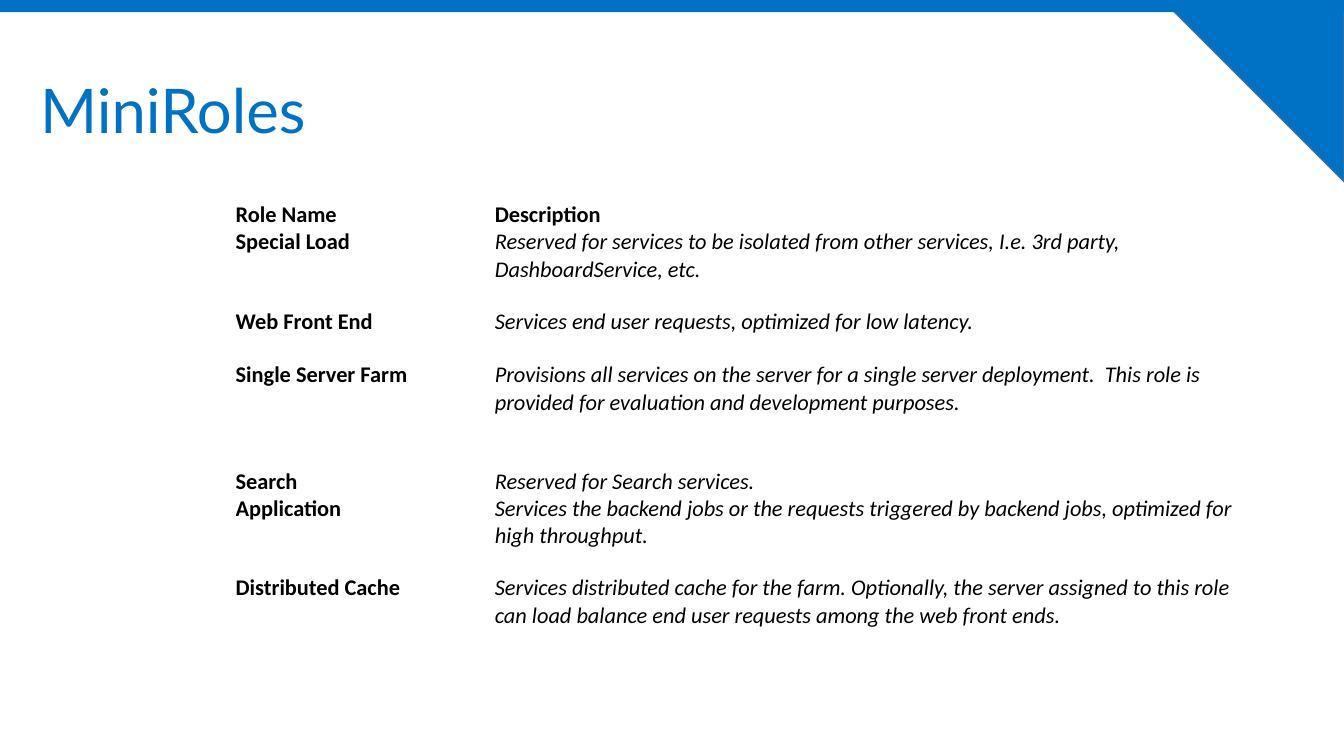
from dataclasses import dataclass

from pptx import Presentation
from pptx.dml.color import RGBColor
from pptx.enum.shapes import MSO_SHAPE as Shape
from pptx.enum.text import MSO_ANCHOR as Anchor
from pptx.util import Cm, Pt

# Content
TITLE = "MiniRoles"
# Role name, description, row height in text lines
ROLES = [
    ("Role Name", "Description", 1),
    ("Special Load", "Reserved for services to be isolated from other services, "
     "I.e. 3rd party, DashboardService, etc.", 3),
    ("Web Front End", "Services end user requests, optimized for low latency.", 2),
    ("Single Server Farm", "Provisions all services on the server for a single server "
     "deployment.  This role is provided for evaluation and development purposes.", 4),
    ("Search", "Reserved for Search services.", 1),
    ("Application", "Services the backend jobs or the requests triggered by backend "
     "jobs, optimized for high throughput.", 3),
    ("Distributed Cache", "Services distributed cache for the farm. Optionally, the "
     "server assigned to this role can load balance end user requests among the web "
     "front ends.", 4),
]


@dataclass(frozen=True)
class Theme:
    blue: RGBColor = RGBColor(0x00, 0x72, 0xC5)
    edge: RGBColor = RGBColor(0x43, 0x73, 0x9E)
    black: RGBColor = RGBColor(0, 0, 0)
    title_font: str = "Lato"
    body_font: str = "Calibri"
    title_size: Pt = Pt(44)
    body_size: Pt = Pt(16)


THEME = Theme()
PAGE_WIDTH, PAGE_HEIGHT = Cm(33.87), Cm(19.05)
CORNER = Cm(4.58)
BAR_HEIGHT = Cm(0.31)
TABLE_LEFT, TABLE_TOP = Cm(5.94), Cm(5.08)
COLUMN_WIDTHS = [Cm(6.53), Cm(19.07)]
LINE_HEIGHT = Cm(0.67)


def style(para, name, size, color):
    font = para.font
    font.name, font.size, font.color.rgb = name, size, color
    return font


def add_block(page, kind, left, width, height):
    block = page.shapes.add_shape(kind, left, 0, width, height)
    block.shadow.inherit = False
    block.fill.solid()
    block.fill.fore_color.rgb = THEME.blue
    return block


def add_decoration(page):
    corner = add_block(page, Shape.RIGHT_TRIANGLE, PAGE_WIDTH - CORNER, CORNER, CORNER)
    corner.rotation = 180
    corner.line.color.rgb = THEME.edge
    corner.line.width = Pt(1)
    bar = add_block(page, Shape.RECTANGLE, 0, PAGE_WIDTH, BAR_HEIGHT)
    bar.line.fill.background()


def add_title(page):
    box = page.shapes.add_textbox(Cm(0.76), Cm(1.02), Cm(30.78), Cm(3.68))
    frame = box.text_frame
    frame.word_wrap = True
    frame.vertical_anchor = Anchor.MIDDLE
    para = frame.paragraphs[0]
    para.text = TITLE
    para.line_spacing = 0.9
    style(para, THEME.title_font, THEME.title_size, THEME.blue)


def add_roles(page):
    height = LINE_HEIGHT * sum(lines for *_, lines in ROLES)
    table = page.shapes.add_table(len(ROLES), len(COLUMN_WIDTHS), TABLE_LEFT, TABLE_TOP,
                                  sum(COLUMN_WIDTHS), height).table
    table.first_row = table.horz_banding = False
    for column, width in zip(table.columns, COLUMN_WIDTHS):
        column.width = width
    for row_index, (role, description, lines) in enumerate(ROLES):
        row = table.rows[row_index]
        row.height = LINE_HEIGHT * lines
        for column_index, (cell, text) in enumerate(zip(row.cells, (role, description))):
            cell.fill.background()
            cell.margin_left = cell.margin_right = cell.margin_top = cell.margin_bottom = 0
            para = cell.text_frame.paragraphs[0]
            para.text = text
            font = style(para, THEME.body_font, THEME.body_size, THEME.black)
            font.bold = row_index == 0 or column_index == 0
            font.italic = not font.bold


def main():
    deck = Presentation()
    deck.slide_width, deck.slide_height = PAGE_WIDTH, PAGE_HEIGHT
    page = deck.slides.add_slide(deck.slide_layouts[6])
    add_decoration(page)
    add_title(page)
    add_roles(page)
    deck.save("out.pptx")


if __name__ == "__main__":
    main()
